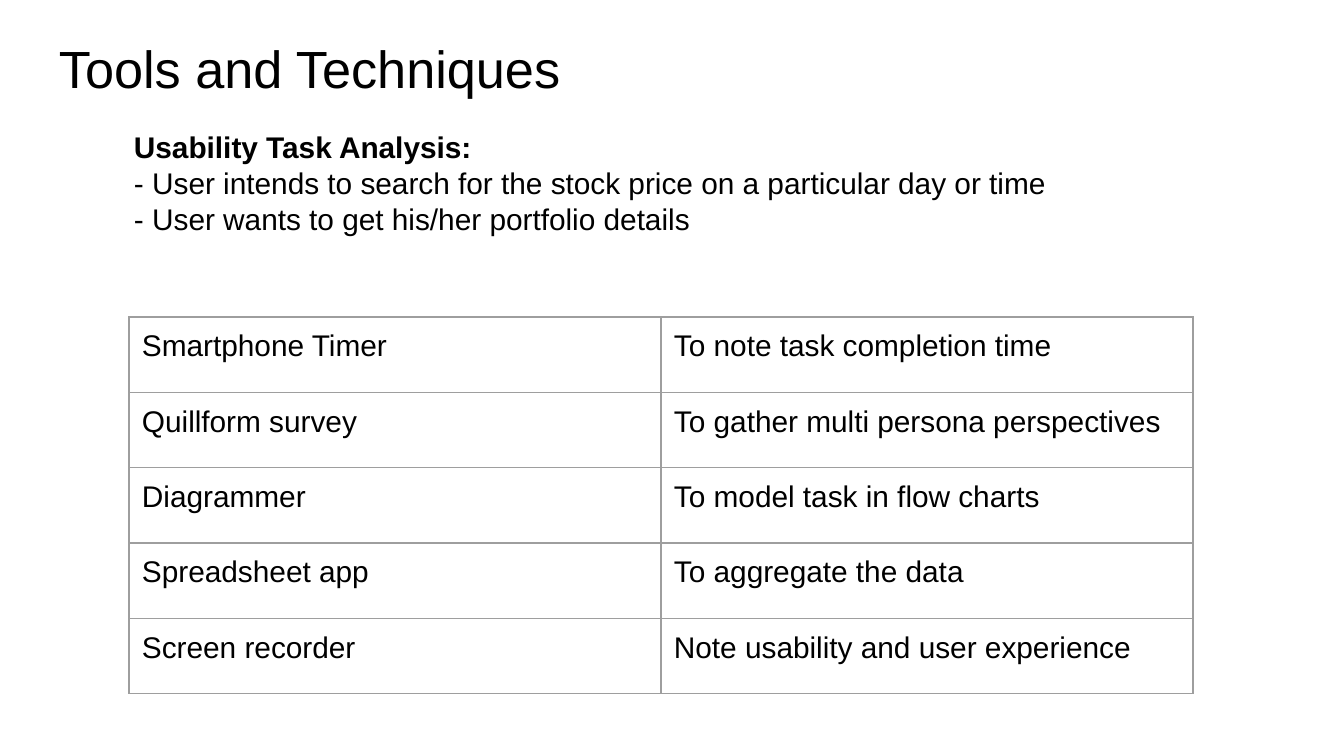
"""Build the Tools and Techniques slide with its task notes and tool table."""
from lxml import etree
from pptx import Presentation
from pptx import util as u
from pptx.dml.color import RGBColor
from pptx.enum import text
from pptx.oxml.ns import qn

TITLE = "Tools and Techniques"
NOTES = [
    "Usability Task Analysis:",
    "- User intends to search for the stock price on a particular day or time",
    "- User wants to get his/her portfolio details",
]
TOOLS = [
    ("Smartphone Timer", "To note task completion time"),
    ("Quillform survey", "To gather multi persona perspectives"),
    ("Diagrammer", "To model task in flow charts"),
    ("Spreadsheet app", "To aggregate the data"),
    ("Screen recorder", "Note usability and user experience"),
]
COLORS = {"text": "000000", "border": "9E9E9E", "background": "FFFFFF"}
FONT = "Arial"
INSET = 13
INDENT = 67
TITLE_BOX = (46, 23, 1253, 85)
NOTES_BOX = (54, 116, 1215, 594)
TABLE_BOX = (129, 317, 1064, 377)


def px(n):
    return u.Emu(round(n * 914400 / 134.4))


def set_margins(target):
    for side in ("left", "top", "right", "bottom"):
        setattr(target, f"margin_{side}", px(INSET))


def style(p, size, bold=False):
    for r in p.runs:
        r.font.name = FONT
        r.font.size = u.Pt(size)
        r.font.bold = bold
        r.font.color.rgb = RGBColor.from_string(COLORS["text"])


def add_text(s, box, lines, size):
    tf = s.shapes.add_textbox(*map(px, box)).text_frame
    tf.word_wrap = True
    tf.vertical_anchor = text.MSO_ANCHOR.TOP
    set_margins(tf)
    tf.text = "\n".join(lines)
    for p in tf.paragraphs:
        style(p, size)
    return tf


def set_borders(cell):
    tc_pr = cell._tc.get_or_add_tcPr()
    for i, side in enumerate(("lnL", "lnR", "lnT", "lnB")):
        line = etree.Element(qn(f"a:{side}"), w=str(u.Pt(0.75)))
        fill = etree.SubElement(line, qn("a:solidFill"))
        etree.SubElement(fill, qn("a:srgbClr"), val=COLORS["border"])
        tc_pr.insert(i, line)


def add_tools(s):
    shape = s.shapes.add_table(len(TOOLS), len(TOOLS[0]), *map(px, TABLE_BOX))
    table = shape.table
    table.first_row = table.horz_banding = False
    for row, words in zip(table.rows, TOOLS):
        for cell, word in zip(row.cells, words):
            cell.text = word
            cell.fill.background()
            set_margins(cell)
            set_borders(cell)
            style(cell.text_frame.paragraphs[0], 16)


def main():
    prs = Presentation()
    prs.slide_width, prs.slide_height = px(1344), px(756)
    s = prs.slides.add_slide(prs.slide_layouts[6])
    s.background.fill.solid()
    s.background.fill.fore_color.rgb = RGBColor.from_string(COLORS["background"])
    add_text(s, TITLE_BOX, [TITLE], 28)
    notes = add_text(s, NOTES_BOX, NOTES, 16)
    for p in notes.paragraphs:
        p._p.get_or_add_pPr().set("marL", str(px(INDENT)))
    style(notes.paragraphs[0], 16, bold=True)
    add_tools(s)
    prs.save("out.pptx")


if __name__ == "__main__":
    main()
